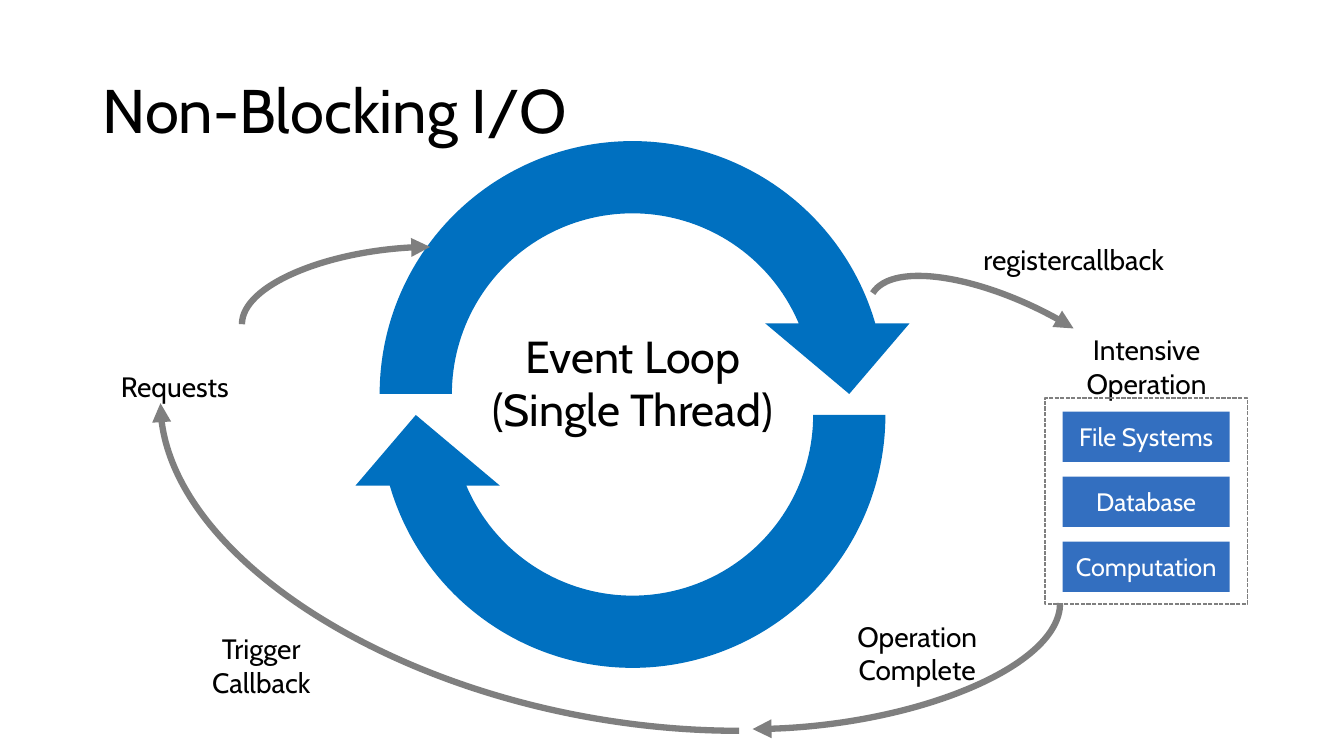
import math
from dataclasses import dataclass

import pptx
import pptx.dml.color
import pptx.enum.dml
import pptx.enum.shapes
import pptx.enum.text
import pptx.oxml
import pptx.oxml.ns
import pptx.util

SHAPE = pptx.enum.shapes.MSO_SHAPE
ALIGN = pptx.enum.text.PP_ALIGN
ANCHOR = pptx.enum.text.MSO_ANCHOR
FIT = pptx.enum.text.MSO_AUTO_SIZE
COLUMNS, ROWS = 160, 90
WIDTH, HEIGHT = pptx.util.Inches(13.33), pptx.util.Inches(7.5)


@dataclass(frozen=True)
class Theme:
    font: str = "Cabin"
    text: str = "000000"
    inverse: str = "FFFFFF"
    loop: str = "0070C0"
    task: str = "336FC0"
    line: str = "7F7F7F"
    title_size: int = 44
    loop_size: int = 32
    label_size: int = 20
    task_size: int = 18


THEME = Theme()


def rgb(value):
    return pptx.dml.color.RGBColor.from_string(value)


def cells(x, y):
    return round(x * WIDTH / COLUMNS), round(y * HEIGHT / ROWS)


def box(x, y, w, h):
    return *cells(x, y), *cells(w, h)


def write(tf, text, size=THEME.label_size, color=THEME.text, align=ALIGN.CENTER,
          anchor=ANCHOR.TOP, wrap=True, fit=FIT.NONE, spacing=None):
    tf.word_wrap, tf.auto_size, tf.vertical_anchor = wrap, fit, anchor
    for i, line in enumerate(text.split("\n")):
        p = tf.add_paragraph() if i else tf.paragraphs[0]
        p.text, p.alignment, p.line_spacing = line, align, spacing
        for r in p.runs:
            r.font.name, r.font.size = THEME.font, pptx.util.Pt(size)
            r.font.color.rgb = rgb(color)


def add_label(s, text, place, **style):
    tf = s.shapes.add_textbox(*box(*place)).text_frame
    write(tf, text, wrap=False, fit=FIT.SHAPE_TO_FIT_TEXT, **style)


def add_block(s, kind, place, fill):
    sp = s.shapes.add_shape(kind, *box(*place))
    sp.shadow.inherit = False
    sp.fill.solid()
    sp.fill.fore_color.rgb = rgb(fill)
    sp.line.fill.background()
    return sp


def add_dashed_frame(s, place):
    sp = s.shapes.add_shape(SHAPE.RECTANGLE, *box(*place))
    sp.shadow.inherit = False
    sp.fill.background()
    sp.line.color.rgb = rgb(THEME.line)
    sp.line.width = pptx.util.Pt(1)
    sp.line.dash_style = pptx.enum.dml.MSO_LINE.SQUARE_DOT


def add_curved_arrow(s, start, end, turn):
    (x1, y1), (x2, y2) = start, end
    cos, sin = math.cos(math.radians(turn)), math.sin(math.radians(turn))
    dx, dy = (x2 - x1) / 2, (y2 - y1) / 2
    half_w, half_h = dx * cos + dy * sin, dy * cos - dx * sin
    mid_x, mid_y = (x1 + x2) / 2, (y1 + y2) / 2
    c = s.shapes.add_connector(
        pptx.enum.shapes.MSO_CONNECTOR.CURVE,
        *cells(mid_x - half_w, mid_y - half_h),
        *cells(mid_x + half_w, mid_y + half_h))
    c.line.color.rgb = rgb(THEME.line)
    c.line.width = pptx.util.Pt(4.5)
    qn = pptx.oxml.ns.qn
    props = c._element.spPr
    props.find(qn("a:xfrm")).set("rot", str(turn * 60000))
    props.find(qn("a:prstGeom")).set("prst", "curvedConnector2")
    ns = pptx.oxml.ns.nsdecls("a")
    head = pptx.oxml.parse_xml(f'<a:tailEnd {ns} type="triangle"/>')
    props.find(qn("a:ln")).append(head)
    props.append(pptx.oxml.parse_xml(f"<a:effectLst {ns}/>"))


def add_title(s, text, place):
    sp = s.shapes.title
    sp.left, sp.top, sp.width, sp.height = box(*place)
    write(sp.text_frame, text, size=THEME.title_size, align=ALIGN.LEFT,
          anchor=ANCHOR.MIDDLE, spacing=0.9)


def add_event_loop(s):
    for top, turn in ((12.5, 0), (15, 180)):
        sp = add_block(s, SHAPE.CIRCULAR_ARROW, (40.9, top, 68.8, 68.8), THEME.loop)
        sp.rotation = turn
    add_label(s, "Event Loop\n(Single Thread)", (55.6, 38.5, 39.5, 14.2),
              size=THEME.loop_size)


def add_intensive_operations(s):
    add_label(s, "Intensive\nOperation", (127.9, 39, 17.2, 9.2))
    add_dashed_frame(s, (124.4, 47.4, 24.1, 24.5))
    for i, task in enumerate(("File Systems", "Database", "Computation")):
        sp = add_block(s, SHAPE.RECTANGLE, (126.5, 49 + 7.74 * i, 19.9, 6), THEME.task)
        write(sp.text_frame, task, size=THEME.task_size, color=THEME.inverse,
              anchor=ANCHOR.MIDDLE)


def add_flow(s):
    add_label(s, "Requests", (13.2, 43.4, 16.7, 5.3), align=ALIGN.LEFT)
    add_label(s, "registercallback", (115.9, 28.3, 25.8, 5.3), align=ALIGN.LEFT)
    add_label(s, "Operation\vComplete", (100.6, 73.1, 17.2, 9.2))
    add_label(s, "Trigger\nCallback", (23.4, 74.6, 15.4, 9.2))
    add_curved_arrow(s, (28.8, 38.6), (51.2, 29.4), 90)
    add_curved_arrow(s, (103.9, 34.9), (127.8, 39.1), 122)
    add_curved_arrow(s, (126.2, 71.8), (89.6, 86.8), 270)
    add_curved_arrow(s, (88, 87), (19.1, 48), 180)


def main():
    prs = pptx.Presentation()
    prs.slide_width, prs.slide_height = WIDTH, HEIGHT
    s = prs.slides.add_slide(prs.slide_layouts.get_by_name("Title Only"))
    add_title(s, "Non-Blocking I/O", (11, 4.8, 138, 17.4))
    add_event_loop(s)
    add_intensive_operations(s)
    add_flow(s)
    prs.save("out.pptx")


if __name__ == "__main__":
    main()
